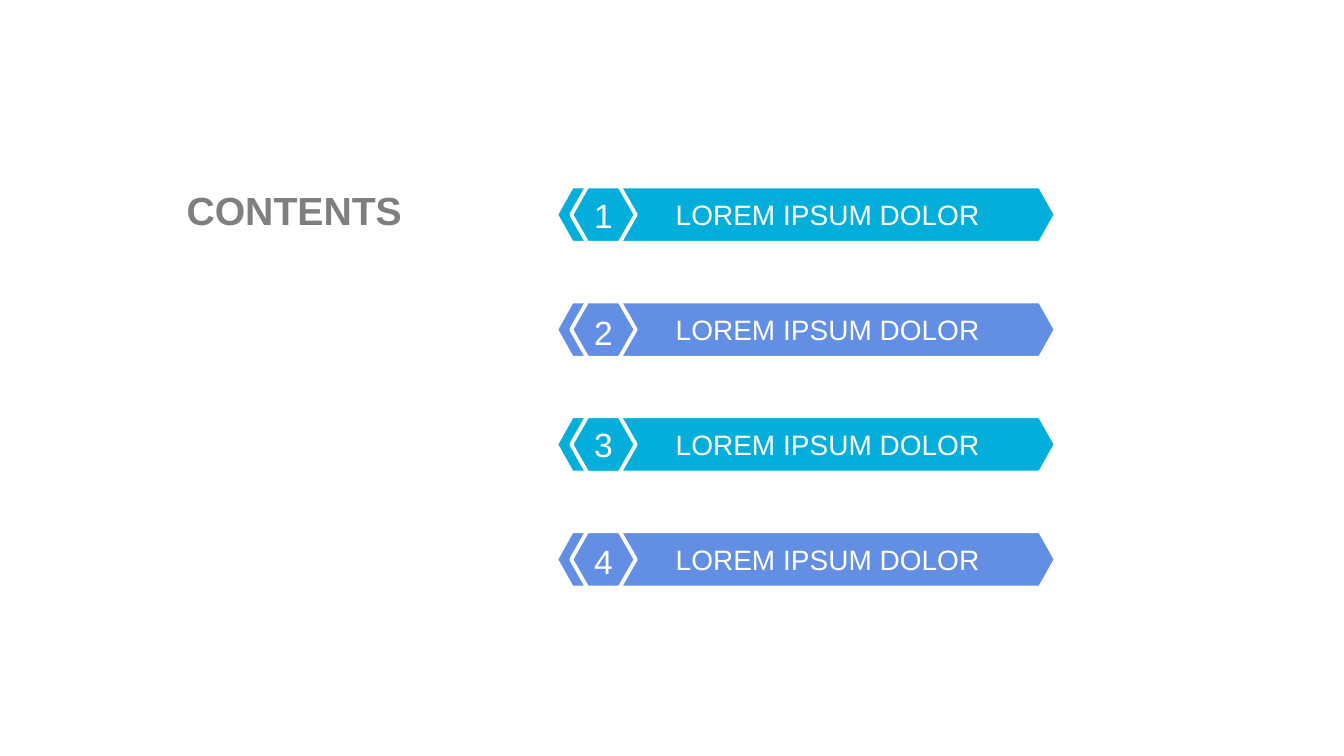
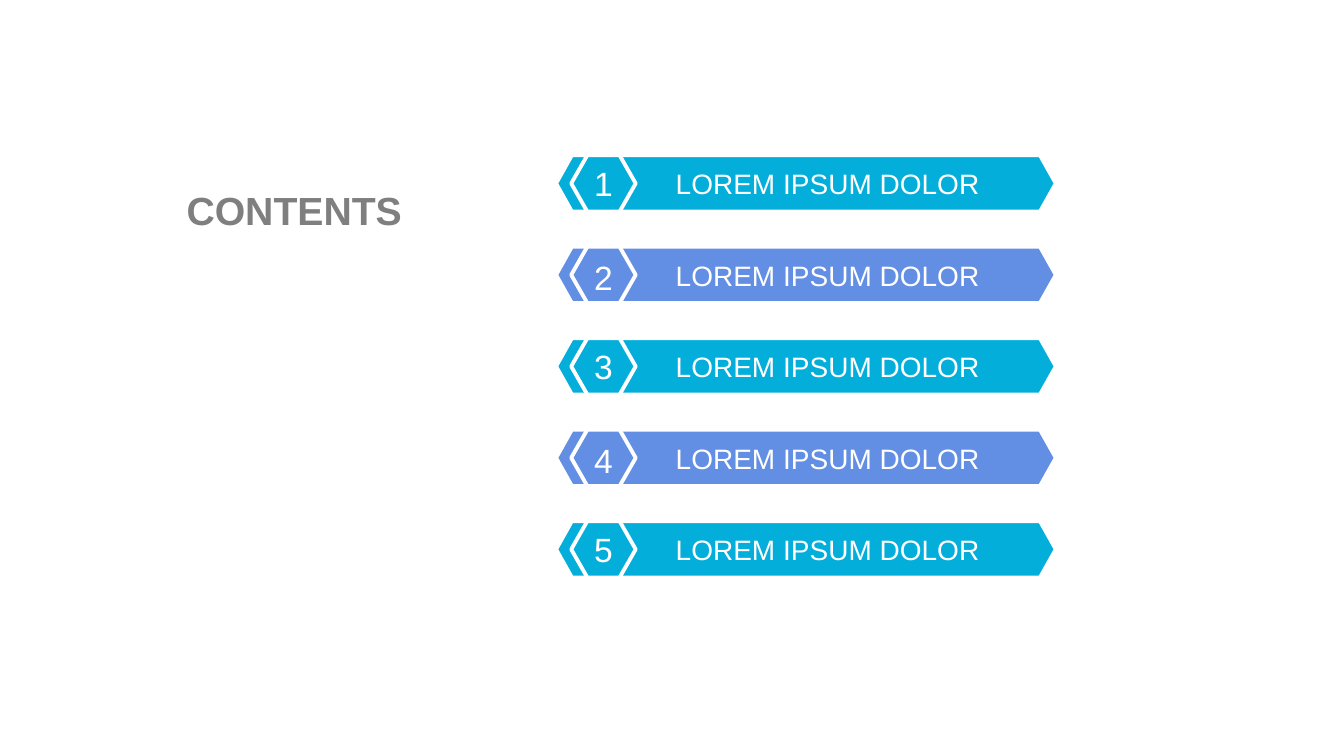
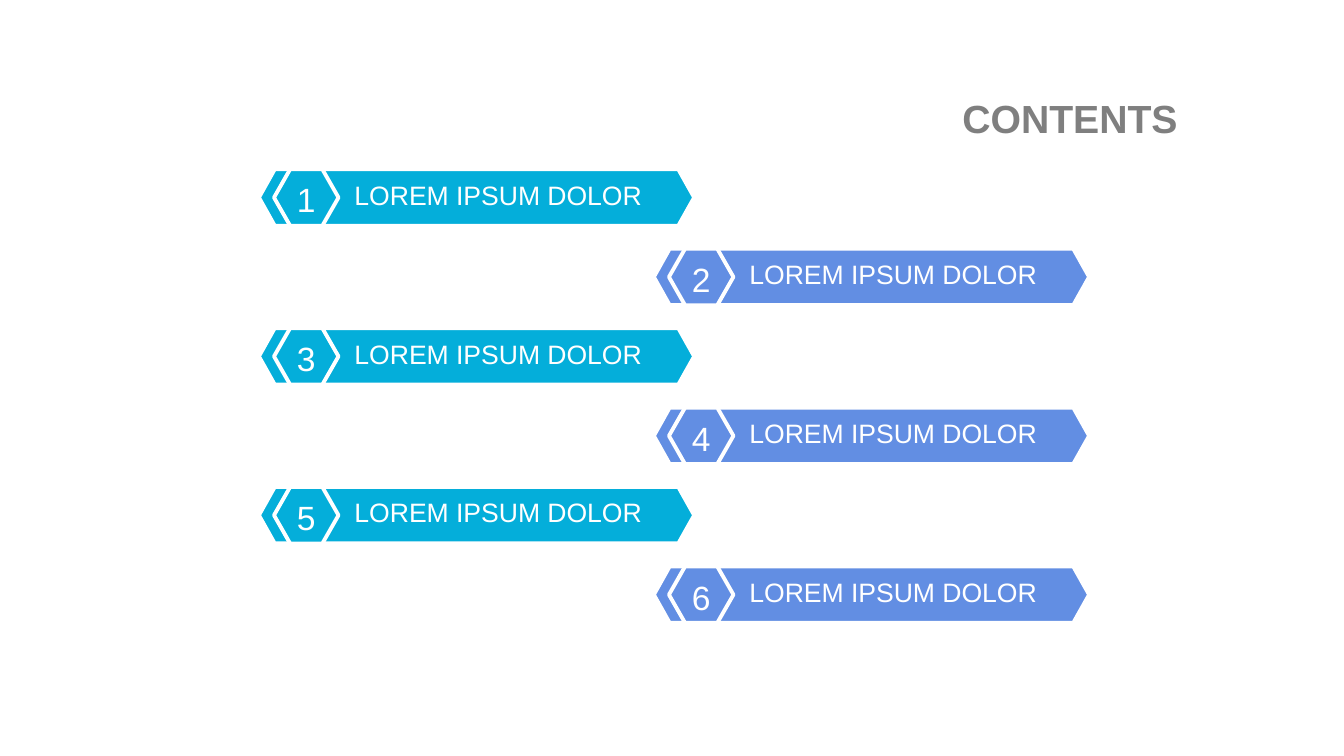
from pptx import Presentation
from pptx.dml.color import RGBColor
from pptx.enum import shapes, text
from pptx.util import Inches, Pt

CYAN, BLUE, WHITE, GREY = "04AEDA", "628EE3", "FFFFFF", "7F7F7F"
FONT = "Arial"
BAR_HEIGHT = 0.56
BADGE_WIDTH, BADGE_OFFSET, BADGE_SLANT = 0.64, 0.15, 0.16
LABEL = "LOREM IPSUM DOLOR"


def colour(hex_string):
    return RGBColor.from_string(hex_string)


def write(shape, words, size, ink, spacing=None, bold=False):
    shape.text_frame.word_wrap = True
    para = shape.text_frame.paragraphs[0]
    para.text = words
    para.alignment = text.PP_ALIGN.CENTER
    if spacing:
        para.line_spacing = spacing
    para.font.name = FONT
    para.font.size = Pt(size)
    para.font.bold = bold
    para.font.color.rgb = colour(ink)


def paint(shape, fill, left_inset=0, right_inset=0):
    """Give a shape its fill, white outline and text insets."""
    shape.shadow.inherit = False
    shape.fill.solid()
    shape.fill.fore_color.rgb = colour(fill)
    shape.line.color.rgb = colour(WHITE)
    shape.line.width = Pt(2.75)
    frame = shape.text_frame
    frame.vertical_anchor = text.MSO_ANCHOR.MIDDLE
    frame.margin_left, frame.margin_right = Inches(left_inset), Inches(right_inset)
    frame.margin_top = frame.margin_bottom = 0


def add_badge(group, left, top, number, fill, spacing):
    right, bottom = left + BADGE_WIDTH, top + BAR_HEIGHT
    middle = top + BAR_HEIGHT / 2
    inner_left, inner_right = left + BADGE_SLANT, right - BADGE_SLANT
    corners = [(inner_left, top), (inner_right, top), (right, middle),
               (inner_right, bottom), (inner_left, bottom), (left, middle)]
    points = [(Inches(x), Inches(y)) for x, y in corners]
    outline = group.shapes.build_freeform(*points[0])
    outline.add_line_segments(points[1:], close=True)
    badge = outline.convert_to_shape()
    paint(badge, fill)
    write(badge, str(number), 24, WHITE, spacing)


def add_item(page, left, top, width, number, label_size, label_spacing, badge_spacing):
    """Place one numbered bar; odd numbers are cyan, even ones blue."""
    fill = CYAN if number % 2 else BLUE
    group = page.shapes.add_group_shape()
    bar = group.shapes.add_shape(shapes.MSO_SHAPE.HEXAGON, Inches(left), Inches(top),
                                 Inches(width), Inches(BAR_HEIGHT))
    bar.adjustments[0] = 0.28
    paint(bar, fill, 0.51, 0.08)
    write(bar, LABEL, label_size, WHITE, label_spacing)
    add_badge(group, left + BADGE_OFFSET, top, number, fill, badge_spacing)


def add_title(page, left, top):
    box = page.shapes.add_textbox(Inches(left), Inches(top), Inches(2.76), Inches(0.57))
    write(box, "CONTENTS", 28, GREY, bold=True)


def add_page(deck):
    return deck.slides.add_slide(deck.slide_layouts[6])


def item_tops(first, last, count):
    step = (last - first) / (count - 1)
    return [first + step * index for index in range(count)]


def column_page(deck, first, last, count):
    page = add_page(deck)
    for number, top in enumerate(item_tops(first, last, count), 1):
        badge_spacing = None if number % 2 else 1.1
        add_item(page, 5.52, top, 4.96, number, 20, None, badge_spacing)
    add_title(page, 1.54, 1.8)


def staggered_page(deck, first, last, count):
    page = add_page(deck)
    for number, top in enumerate(item_tops(first, last, count), 1):
        left = 2.57 if number % 2 else 6.49
        add_item(page, left, top, 4.32, number, 19, 0.8, 1.1)
    add_title(page, 9.24, 0.89)


def main():
    deck = Presentation()
    deck.slide_width, deck.slide_height = Inches(13.34), Inches(7.5)
    column_page(deck, 1.85, 5.27, 4)
    column_page(deck, 1.54, 5.17, 5)
    staggered_page(deck, 1.68, 5.62, 6)
    deck.save("out.pptx")


if __name__ == "__main__":
    main()
